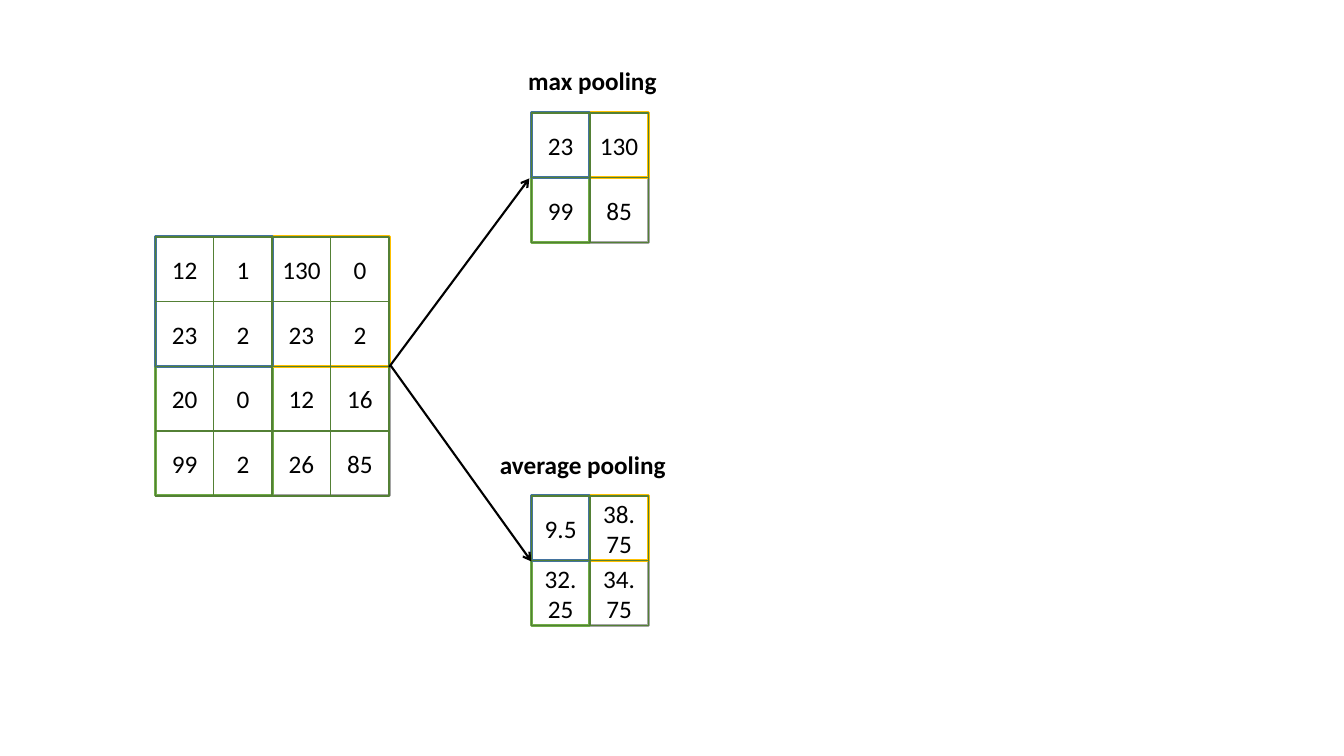
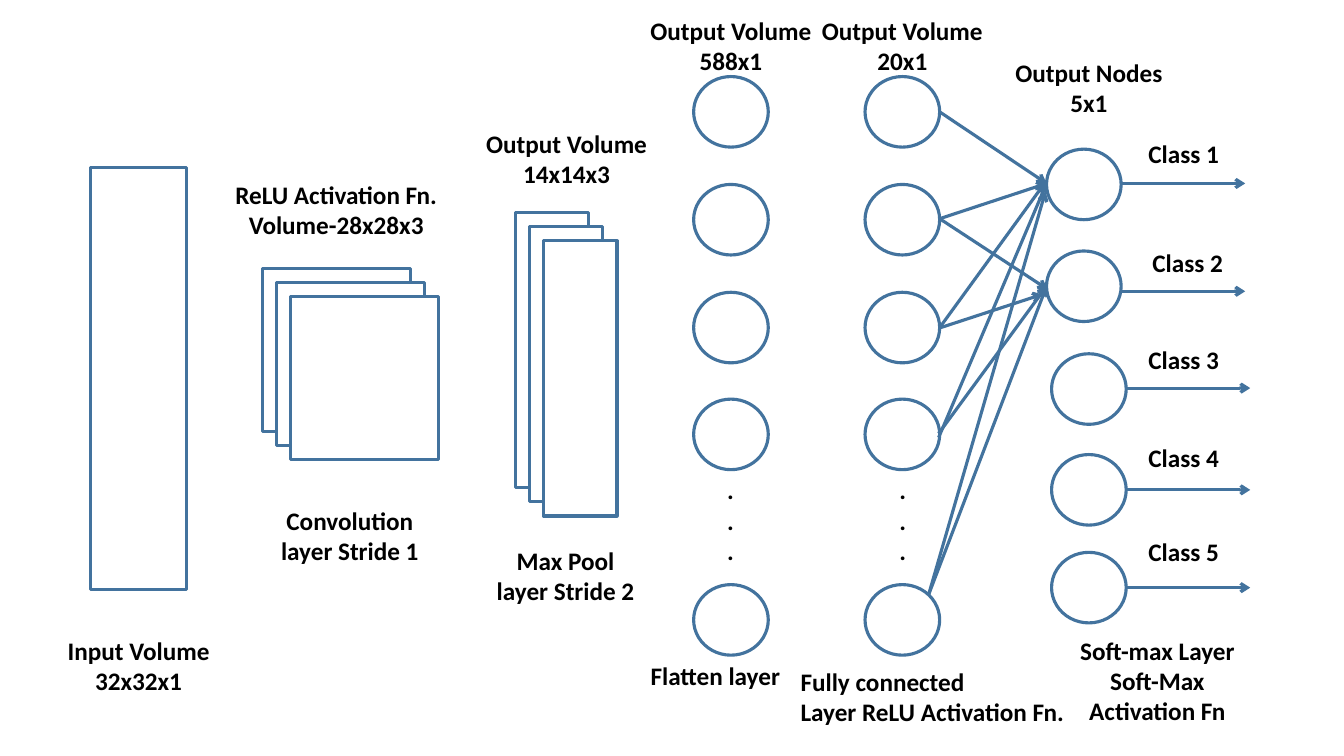
from dataclasses import dataclass

from lxml.etree import SubElement
from pptx import Presentation
from pptx.dml.color import RGBColor
from pptx.enum.shapes import MSO_CONNECTOR, MSO_SHAPE
from pptx.enum.text import MSO_ANCHOR, PP_ALIGN
from pptx.oxml.ns import qn
from pptx.util import Inches, Pt


@dataclass(frozen=True)
class Theme:
    font: str = "Calibri"
    text_size: float = 18
    cell_margin: float = 0.09
    label_margin: float = 0.02
    cell_line: float = 1
    arrow_line: float = 1.5
    heavy_line: float = 2.25
    black: str = "000000"
    white: str = "FFFFFF"
    blue: str = "43739E"
    yellow: str = "FFC000"
    green: str = "70AD47"
    gray: str = "A5A5A5"
    dark_green: str = "538035"


theme = Theme()


def add_item(slide, kind, box, color=None, weight=theme.heavy_line, fill=None,
             text="", align=PP_ALIGN.CENTER):
    """Add an outlined shape, or a bold unwrapped label when kind is None."""
    lengths = [Inches(value) for value in box]
    if kind is None:
        shape = slide.shapes.add_textbox(*lengths)
        shape.text_frame.word_wrap = False
        margin = theme.label_margin
    else:
        shape = slide.shapes.add_shape(kind, *lengths)
        shape.shadow.inherit = False
        shape.line.color.rgb = RGBColor.from_string(color)
        shape.line.width = Pt(weight)
        if fill:
            shape.fill.solid()
            shape.fill.fore_color.rgb = RGBColor.from_string(fill)
        else:
            shape.fill.background()
        shape.text_frame.vertical_anchor = MSO_ANCHOR.MIDDLE
        margin = theme.cell_margin
    shape.text_frame.margin_left = shape.text_frame.margin_right = Inches(margin)
    if text:
        shape.text_frame.text = text
        for paragraph in shape.text_frame.paragraphs:
            paragraph.alignment = align
            for run in paragraph.runs:
                run.font.name = theme.font
                run.font.size = Pt(theme.text_size)
                run.font.bold = kind is None
                run.font.color.rgb = RGBColor.from_string(theme.black)


def add_arrow(slide, start, end, color, weight):
    points = [Inches(value) for value in (*start, *end)]
    arrow = slide.shapes.add_connector(MSO_CONNECTOR.STRAIGHT, *points)
    arrow.line.color.rgb = RGBColor.from_string(color)
    arrow.line.width = Pt(weight)
    SubElement(arrow.line._get_or_add_ln(), qn("a:tailEnd"), type="arrow")
    SubElement(arrow._element.spPr, qn("a:effectLst"))


presentation = Presentation()
presentation.slide_width = Inches(13.33)
presentation.slide_height = Inches(7.5)
blank_layout = presentation.slide_layouts[6]

# Slide 1: max and average pooling
slide = presentation.slides.add_slide(blank_layout)
cell_width, cell_height = 0.58, 2.57 / 4
quadrants = [
    (1, 1, theme.gray),
    (0, 1, theme.green),
    (1, 0, theme.yellow),
    (0, 0, theme.blue),
]
grids = [
    (1.54, 2.35, [["12", "1", "130", "0"],
                  ["23", "2", "23", "2"],
                  ["20", "0", "12", "16"],
                  ["99", "2", "26", "85"]]),
    (5.27, 1.12, [["23", "130"], ["99", "85"]]),
    (5.27, 4.92, [["9.5", "38.75"], ["32.25", "34.75"]]),
]
for left, top, rows in grids:
    width = cell_width * len(rows) / 2
    height = cell_height * len(rows) / 2
    for column, row, color in quadrants:
        box = (left + column * width, top + row * height, width, height)
        add_item(slide, MSO_SHAPE.RECTANGLE, box, color, fill=theme.white)
    for row, values in enumerate(rows):
        for column, value in enumerate(values):
            box = (left + column * cell_width, top + row * cell_height,
                   cell_width, cell_height)
            add_item(slide, MSO_SHAPE.RECTANGLE, box, theme.dark_green,
                     theme.cell_line, text=value)

add_item(slide, None, (5.14, 0.6, 1.47, 0.4), text="max pooling")
add_item(slide, None, (4.86, 4.41, 1.84, 0.4), text="average pooling")
for start, end in [((3.86, 3.64), (5.25, 1.77)), ((3.87, 3.62), (5.27, 5.57))]:
    add_arrow(slide, start, end, theme.black, theme.arrow_line)

# Slide 2: convolutional network
slide = presentation.slides.add_slide(blank_layout)
layer_offset = 0.14
layer_stacks = [
    (0.9, 1.66, 0.95, 4.19, 1),
    (2.6, 2.66, 1.47, 1.62, 3),
    (5.11, 2.11, 0.73, 2.73, 3),
]
for left, top, width, height, count in layer_stacks:
    for index in range(count):
        shift = index * layer_offset
        add_item(slide, MSO_SHAPE.RECTANGLE, (left + shift, top + shift, width, height),
                 theme.blue, fill=theme.white)

node_width, node_height = 0.74, 0.7
hidden_tops = [0.76, 1.83, 2.9, 3.96, 5.8]
hidden_nodes = [(left, top) for left in (6.88, 8.58) for top in hidden_tops]
output_nodes = [(10.38, 1.48), (10.38, 2.49), (10.43, 3.51), (10.43, 4.51), (10.43, 5.48)]
for left, top in hidden_nodes + output_nodes:
    add_item(slide, MSO_SHAPE.OVAL, (left, top, node_width, node_height), theme.blue)

connections = [
    ((9.32, 1.11), (10.38, 1.82)),
    ((9.32, 2.17), (10.38, 1.82)),
    ((9.32, 2.17), (10.39, 2.87)),
    ((9.32, 3.25), (10.36, 1.82)),
    ((9.33, 3.25), (10.34, 2.92)),
    ((9.31, 4.34), (10.38, 1.82)),
    ((9.31, 4.3), (10.38, 2.84)),
    ((9.21, 5.9), (10.37, 1.9)),
    ((9.21, 5.9), (10.38, 2.84)),
]
output_arrow_heights = [1.82, 2.89, 3.85, 4.86, 5.83]
for (left, _), height in zip(output_nodes, output_arrow_heights):
    start = left + node_width
    connections.append(((start, height), (start + 1.23, height)))
for start, end in connections:
    add_arrow(slide, start, end, theme.blue, theme.heavy_line)

labels = [
    ((0.57, 6.25, 1.61, 0.71), "Input Volume\n32x32x1"),
    ((2.23, 1.73, 2.21, 0.71), "ReLU Activation Fn.\nVolume-28x28x3"),
    ((2.69, 4.96, 1.56, 0.71), "Convolution\nlayer Stride 1"),
    ((4.72, 1.22, 1.8, 0.71), "Output Volume\n14x14x3"),
    ((4.83, 5.36, 1.56, 0.71), "Max Pool\nlayer Stride 2"),
    ((6.35, 0.1, 1.8, 0.71), "Output Volume\n588x1"),
    ((8.05, 0.1, 1.8, 0.71), "Output Volume\n20x1"),
    ((7.11, 4.66, 0.27, 1.01), ".\n.\n."),
    ((8.82, 4.66, 0.27, 1.01), ".\n.\n."),
    ((6.35, 6.5, 1.49, 0.4), "Flatten layer"),
    ((9.97, 0.52, 1.66, 0.71), "Output Nodes\n5x1"),
    ((10.61, 6.25, 1.74, 1.01), "Soft-max Layer\nSoft-Max\nActivation Fn"),
]
class_positions = [(11.29, 1.32), (11.33, 2.4), (11.29, 3.37), (11.29, 4.34), (11.29, 5.27)]
for number, (left, top) in enumerate(class_positions, start=1):
    labels.append(((left, top, 0.9, 0.4), f"Class {number}"))
for box, text in labels:
    add_item(slide, None, box, text=text)
add_item(slide, None, (7.92, 6.56, 2.74, 0.71),
         text="Fully connected\nLayer ReLU Activation Fn.", align=PP_ALIGN.LEFT)

presentation.save("out.pptx")
